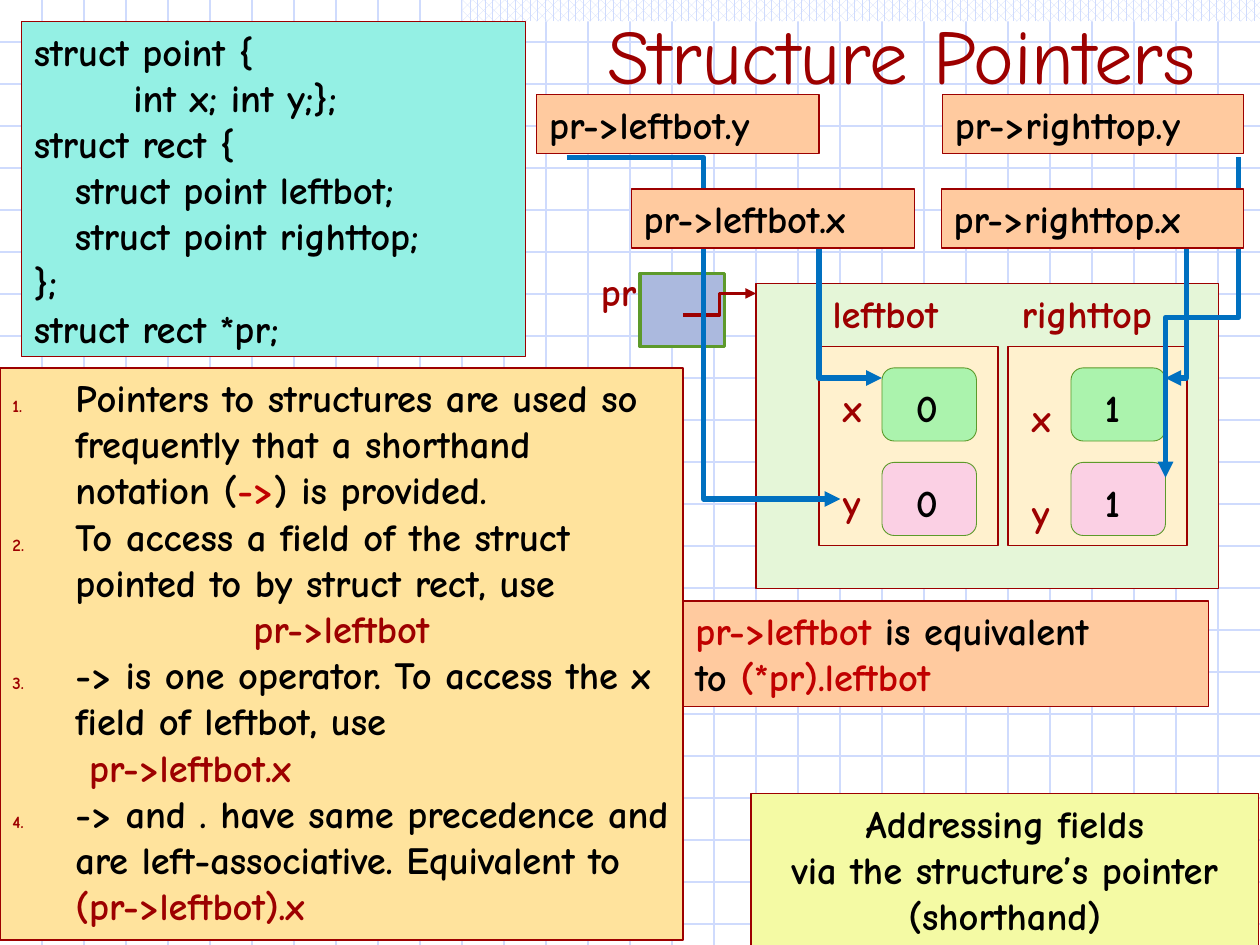
from lxml.etree import SubElement
from pptx import Presentation
from pptx.dml.color import RGBColor
from pptx.enum.dml import MSO_PATTERN
from pptx.enum.shapes import MSO_CONNECTOR, MSO_SHAPE
from pptx.enum.text import MSO_ANCHOR, PP_ALIGN
from pptx.oxml.ns import qn
from pptx.util import Inches, Pt

WIDTH, HEIGHT = 10, 7.5
FONT = "Comic Neue"
BLACK = RGBColor(0x00, 0x00, 0x00)
WHITE = RGBColor(0xFF, 0xFF, 0xFF)
MAROON = RGBColor(0x9D, 0x00, 0x00)
RED = RGBColor(0xC0, 0x00, 0x00)
BLUE = RGBColor(0x00, 0x70, 0xC0)
PALE_BLUE = RGBColor(0xCF, 0xDB, 0xFD)
TEAL = RGBColor(0x94, 0xF0, 0xE4)
SAND = RGBColor(0xFF, 0xE3, 0x9D)
PEACH = RGBColor(0xFF, 0xCA, 0x9F)
YELLOW = RGBColor(0xF4, 0xFA, 0xA4)
CREAM = RGBColor(0xFF, 0xF1, 0xCE)
PALE_GREEN = RGBColor(0xE5, 0xF6, 0xD8)
MINT = RGBColor(0xAB, 0xF3, 0xAD)
PINK = RGBColor(0xFB, 0xD0, 0xE4)
PERIWINKLE = RGBColor(0xAB, 0xB9, 0xDE)
GREEN = RGBColor(0x5D, 0x9A, 0x2B)

CODE = ["struct point {", "\tint x; int y;};", "struct rect {",
        "   struct point leftbot;", "   struct point righttop;", "};",
        "struct rect *pr;"]


def add_box(slide, place, fill, line=MAROON, width=0.75, kind=MSO_SHAPE.RECTANGLE):
    box = slide.shapes.add_shape(kind, *map(Inches, place))
    box.shadow.inherit = False
    box.fill.solid()
    box.fill.fore_color.rgb = fill
    box.line.color.rgb = line
    box.line.width = Pt(width)
    box.text_frame.word_wrap = True
    box.text_frame.vertical_anchor = MSO_ANCHOR.TOP
    return box


def style(para, color=BLACK, size=22, bold=True, align=PP_ALIGN.LEFT):
    para.alignment = align
    para.font.name = FONT
    para.font.size = Pt(size)
    para.font.bold = bold
    para.font.color.rgb = color


def next_paragraph(frame):
    """Return the still empty first paragraph, or a new one."""
    first = frame.paragraphs[0]
    return frame.add_paragraph() if first.runs else first


def add_spans(para, spans):
    """Fill a paragraph from (text, colour) pairs."""
    for text, color in spans:
        span = para.add_run()
        span.text = text
        span.font.color.rgb = color


def add_lines(box, lines, align=PP_ALIGN.LEFT):
    """Write one paragraph for each line, a line being a list of spans."""
    for spans in lines:
        para = next_paragraph(box.text_frame)
        style(para, align=align)
        add_spans(para, spans)


def add_label(slide, left, top, width, text, color=MAROON):
    box = slide.shapes.add_textbox(*map(Inches, (left, top, width, 0.47)))
    box.text_frame.word_wrap = True
    para = box.text_frame.paragraphs[0]
    para.text = text
    style(para, color)


def set_indent(para, margin, indent):
    props = para._p.get_or_add_pPr()
    props.set("marL", str(Inches(margin)))
    props.set("indent", str(Inches(indent)))
    return props


def add_number(para, start):
    props = set_indent(para, 0.5, -0.5)
    color = SubElement(props, qn("a:buClr"))
    SubElement(color, qn("a:srgbClr"), val=str(MAROON))
    SubElement(props, qn("a:buSzPct"), val="45000")
    number = SubElement(props, qn("a:buAutoNum"), type="arabicPeriod")
    if start > 1:
        number.set("startAt", str(start))


def add_line(slide, begin, end, color, width, kind=MSO_CONNECTOR.STRAIGHT):
    line = slide.shapes.add_connector(kind, *map(Inches, (*begin, *end)))
    line.line.color.rgb = color
    line.line.width = Pt(width)
    SubElement(line._element.spPr, qn("a:effectLst"))
    return line


def add_elbow(slide, begin, end, color=BLUE, width=3):
    arrow = add_line(slide, begin, end, color, width, MSO_CONNECTOR.ELBOW)
    SubElement(arrow.line._get_or_add_ln(), qn("a:tailEnd"), type="triangle")
    return arrow


def add_falling_elbow(slide, begin, end):
    """Draw an elbow that leaves downwards: a level one, turned a quarter."""
    (x1, y1), (x2, y2) = begin, end
    middle_x, middle_y = (x1 + x2) / 2, (y1 + y2) / 2
    half_length, half_width = (y2 - y1) / 2, (x1 - x2) / 2
    arrow = add_elbow(slide, (middle_x - half_length, middle_y - half_width),
                      (middle_x + half_length, middle_y + half_width))
    arrow._element.spPr.find(qn("a:xfrm")).set("rot", "5400000")


def add_grid(slide):
    """Rule the background at every third of an inch."""
    for step in range(1, 23):
        add_line(slide, (0, step / 3), (WIDTH, step / 3), PALE_BLUE, 0.75)
    for step in range(1, 30):
        add_line(slide, (step / 3, 0), (step / 3, HEIGHT), PALE_BLUE, 0.75)


def add_heading(slide):
    band = add_box(slide, (3.67, 0, 6.33, 0.17), WHITE)
    band.fill.patterned()
    band.fill.pattern = MSO_PATTERN.PERCENT_60
    band.fill.fore_color.rgb = PALE_BLUE
    band.fill.back_color.rgb = WHITE
    band.line.fill.background()
    title = slide.shapes.title
    slide.shapes._spTree.append(title._element)
    title.left, title.top, title.width, title.height = map(
        Inches, (4.33, 0.01, 5.65, 0.74))
    title.text_frame.text = "Structure Pointers"
    title.text_frame.vertical_anchor = MSO_ANCHOR.TOP
    style(title.text_frame.paragraphs[0], MAROON, 44, False, PP_ALIGN.CENTER)


def add_code(slide):
    box = add_box(slide, (0.17, 0.17, 4, 2.66), TEAL)
    for text in CODE:
        para = next_paragraph(box.text_frame)
        para.text = text
        tabs = SubElement(para._p.get_or_add_pPr(), qn("a:tabLst"))
        SubElement(tabs, qn("a:tab"), pos=str(Inches(0.79)), algn="l")
        style(para)


def add_notes(slide):
    frame = add_box(slide, (0, 2.92, 5.42, 4.54), SAND).text_frame
    notes = [
        (1, [("Pointers to structures are used so frequently that a shorthand "
              "notation (", BLACK), ("->", RED), (") is provided.", BLACK)]),
        (1, [("To access a field of the struct pointed to by struct rect, use",
              BLACK)]),
        (None, [("pr->leftbot", MAROON)]),
        (3, [("-> is one operator. To access the x field of leftbot, use", BLACK)]),
        (None, [("pr->leftbot.x", MAROON)]),
        (3, [("-> and . have same precedence and are left-associative. "
              "Equivalent to ", BLACK), ("(pr->leftbot).x", MAROON)]),
    ]
    for start, spans in notes:
        para = next_paragraph(frame)
        if start:
            add_number(para, start)
        else:
            set_indent(para, 0.61, 0)
        style(para)
        add_spans(para, spans)
    centred = frame.paragraphs[2]
    set_indent(centred, 0, 0)
    centred.alignment = PP_ALIGN.CENTER


def add_point(slide, left, name, name_width, value, label_top):
    """Draw one point of the rectangle with its x and y fields."""
    add_box(slide, (left, 2.75, 1.42, 1.58), CREAM)
    add_label(slide, left + 0.01, 2.25, name_width, name)
    for row, (field, fill) in enumerate((("x", MINT), ("y", PINK))):
        shift = 0.75 * row
        add_box(slide, (left + 0.5, 2.92 + shift, 0.75, 0.58), fill, GREEN, 0.5,
                MSO_SHAPE.ROUNDED_RECTANGLE)
        add_label(slide, left + 0.09, label_top + shift, 0.38, field)
        add_label(slide, left + 0.67, 3 + shift, 0.38, value, BLACK)


def add_tag(slide, left, top, width, text):
    add_lines(add_box(slide, (left, top, width, 0.47), PEACH), [[(text, BLACK)]])


def add_diagram(slide):
    add_label(slide, 4.67, 2.08, 0.51, "pr")
    add_box(slide, (5.08, 2.17, 0.67, 0.58), PERIWINKLE, GREEN, 2)
    add_elbow(slide, (5.42, 2.5), (6, 2.33), MAROON, 2)
    add_box(slide, (6, 2.25, 3.67, 2.42), PALE_GREEN)
    add_point(slide, 6.5, "leftbot", 1.23, "0", 3)
    add_point(slide, 8, "righttop", 1.38, "1", 3.08)
    add_tag(slide, 4.26, 0.75, 2.24, "pr->leftbot.y")
    add_tag(slide, 7.48, 0.75, 2.39, "pr->righttop.y")
    add_elbow(slide, (4.5, 1.25), (6.67, 3.96))
    add_elbow(slide, (6, 1.92), (7, 3))
    add_elbow(slide, (9.58, 1.92), (9.25, 3))
    add_falling_elbow(slide, (9.83, 1.25), (9.25, 3.79))


def add_summary(slide):
    add_lines(add_box(slide, (5.96, 6.3, 4.03, 1.21), YELLOW),
              [[("Addressing fields", BLACK)],
               [("via the structure’s pointer (shorthand)", BLACK)]],
              PP_ALIGN.CENTER)
    add_tag(slide, 5.01, 1.5, 2.25, "pr->leftbot.x")
    add_tag(slide, 7.47, 1.5, 2.4, "pr->righttop.x")
    add_lines(add_box(slide, (5.42, 4.77, 4.17, 0.84), PEACH),
              [[("pr->leftbot", RED), (" is equivalent", BLACK)],
               [("to ", BLACK), ("(*pr).leftbot", RED)]])


def main():
    deck = Presentation()
    deck.slide_width, deck.slide_height = Inches(WIDTH), Inches(HEIGHT)
    slide = deck.slides.add_slide(deck.slide_layouts[5])
    for add_part in (add_grid, add_heading, add_code, add_notes, add_diagram,
                     add_summary):
        add_part(slide)
    deck.save("out.pptx")


if __name__ == "__main__":
    main()
